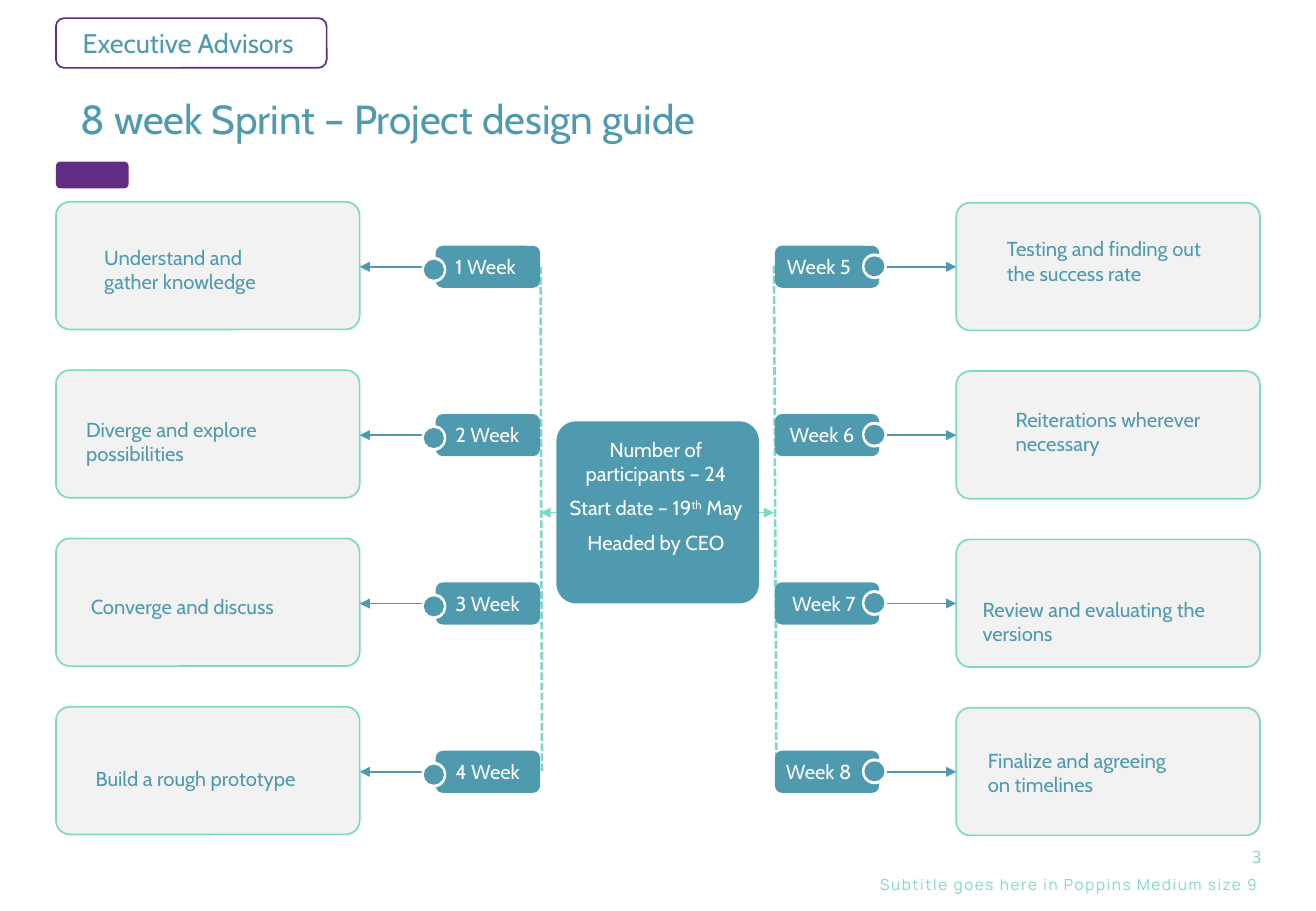
from pptx import Presentation
from pptx.dml.color import RGBColor
from pptx.enum.dml import MSO_LINE
from pptx.enum.shapes import MSO_CONNECTOR, MSO_SHAPE
from pptx.enum.text import MSO_ANCHOR, MSO_AUTO_SIZE, PP_ALIGN
from pptx.oxml.ns import qn
from pptx.util import Cm, Pt
from lxml.etree import SubElement

TEAL, MINT, PURPLE = "509AAF", "7DD8C7", "612C83"
WHITE, GREY = "FFFFFF", "F2F2F2"
ROW_PITCH = 3.52


def rgb(value):
    return RGBColor.from_string(value)


class SprintSlide:
    font = "Cabin"
    size = 12

    def __init__(self, prs):
        self.s = prs.slides.add_slide(prs.slide_layouts[5])

    def fill_text(self, sp, text, size=None, color=TEAL, font=None, align=PP_ALIGN.LEFT,
                  anchor=MSO_ANCHOR.TOP, insets=(0.25, 0.25, 0.25, 0.25)):
        tf = sp.text_frame
        tf.word_wrap = True
        tf.auto_size = MSO_AUTO_SIZE.NONE
        tf.vertical_anchor = anchor
        tf.margin_left, tf.margin_top, tf.margin_right, tf.margin_bottom = map(Cm, insets)
        for i, runs in enumerate(text if isinstance(text, list) else [text]):
            p = tf.paragraphs[0] if i == 0 else tf.add_paragraph()
            p.alignment = align
            p.space_before = Pt(6 if i else 0)
            p.font.name = font or self.font
            p.font.size = Pt(size or self.size)
            p.font.color.rgb = rgb(color)
            for part in [runs] if isinstance(runs, str) else runs:
                p.add_run().text = part
        return tf

    def title(self, text, x, y, w, h):
        sp = self.s.shapes.title
        sp.left, sp.top, sp.width, sp.height = map(Cm, (x, y, w, h))
        self.fill_text(sp, text, 24, insets=(0.51, 0.13, 0.51, 0.13))

    def text(self, text, x, y, w, h, **style):
        return self.fill_text(self.s.shapes.add_textbox(Cm(x), Cm(y), Cm(w), Cm(h)), text, **style)

    def shape(self, x, y, w, h, fill=None, line=None, radius=None,
              kind=MSO_SHAPE.ROUNDED_RECTANGLE, parent=None):
        sp = (parent or self.s).shapes.add_shape(kind, Cm(x), Cm(y), Cm(w), Cm(h))
        sp.shadow.inherit = False
        if fill:
            sp.fill.solid()
            sp.fill.fore_color.rgb = rgb(fill)
        else:
            sp.fill.background()
        if line:
            sp.line.color.rgb = rgb(line)
            sp.line.width = Pt(1)
        else:
            sp.line.fill.background()
        if radius:
            sp.adjustments[0] = radius
        return sp

    def dot(self, x, y):
        group = self.s.shapes.add_group_shape()
        self.shape(x, y, 0.52, 0.54, WHITE, kind=MSO_SHAPE.OVAL, parent=group)
        self.shape(x + 0.05, y + 0.06, 0.42, 0.42, TEAL, kind=MSO_SHAPE.OVAL, parent=group)

    def line(self, x1, y1, x2, y2, color, width=1, dashed=False):
        cx = self.s.shapes.add_connector(MSO_CONNECTOR.STRAIGHT, Cm(x1), Cm(y1), Cm(x2), Cm(y2))
        cx.line.color.rgb = rgb(color)
        cx.line.width = Pt(width)
        if dashed:
            cx.line.dash_style = MSO_LINE.SQUARE_DOT
        else:
            SubElement(cx._element.spPr.find(qn("a:ln")), qn("a:tailEnd"), type="triangle")
        SubElement(cx._element.spPr, qn("a:effectLst"))

    def side(self, steps, card, pill, dot, arrow, spine):
        for i in range(len(steps)):
            self.shape(card[0], card[1] + i * ROW_PITCH, 6.35, 2.67, GREY, MINT, 0.109)
        self.line(*spine, MINT, 1.5, dashed=True)
        for i, (label, label_x, task, *task_box) in enumerate(steps):
            dy = i * ROW_PITCH
            self.line(arrow[0], 5.58 + dy, arrow[1], 5.58 + dy, TEAL)
            self.shape(pill[0], pill[1] + dy, 2.18, 0.88, TEAL)
            self.dot(dot[0], dot[1] + dy)
            self.text(label, label_x, 5.07 + dy, 2.2, 0.95, color=WHITE)
            self.text(task, *task_box, 1.6)


def main():
    prs = Presentation()
    prs.slide_width, prs.slide_height = Cm(27.51), Cm(19.05)
    slide = SprintSlide(prs)

    badge = slide.shape(1.17, 0.38, 5.66, 1.04, line=PURPLE)
    slide.fill_text(badge, "Executive Advisors", 16, insets=(0.51, 0.13, 0.25, 0.13))
    slide.shape(1.17, 3.38, 1.52, 0.56, PURPLE)
    slide.title("8 week Sprint – Project design guide", 1.17, 1.83, 23.72, 1.5)

    slide.shape(11.63, 8.81, 4.24, 3.81, TEAL, radius=0.109)
    slide.line(11.63, 10.72, 11.3, 10.72, MINT)
    slide.line(15.87, 10.72, 16.18, 10.72, MINT)
    tf = slide.text(["Number of participants – 24", ("Start date – 19", "th", " May"), "Headed by CEO"],
                    11.66, 8.89, 4.11, 3.58, color=WHITE, align=PP_ALIGN.CENTER,
                    insets=(0.2, 0.25, 0.2, 0.25))
    tf.paragraphs[1].runs[1].font._element.set("baseline", "30000")

    slide.side([
        ("1 Week", 9.27, "Understand and gather knowledge", 1.93, 4.88, 4.5),
        ("2 Week", 9.27, "Diverge and explore possibilities", 1.55, 8.48, 5.46),
        ("3 Week", 9.27, "Converge and discuss", 1.65, 12.17, 5.28),
        ("4 Week", 9.27, "Build a rough prototype", 1.75, 15.77, 5.41),
    ], card=(1.17, 4.22), pill=(9.11, 5.14), dot=(8.81, 5.37), arrow=(9.12, 7.52),
        spine=(11.3, 5.58, 11.33, 16.13))
    slide.side([
        ("Week 5", 16.2, "Testing and finding out the success rate", 20.8, 4.7, 4.78),
        ("Week 6", 16.26, "Reiterations wherever necessary", 20.98, 8.26, 4.62),
        ("Week 7", 16.31, "Review and evaluating the versions", 20.29, 12.24, 5.66),
        ("Week 8", 16.18, "Finalize and agreeing on timelines", 20.4, 15.39, 4.72),
    ], card=(19.99, 4.24), pill=(16.2, 5.14), dot=(18.02, 5.3), arrow=(18.38, 19.99),
        spine=(16.18, 5.56, 16.23, 16.15))

    slide.text("3", 25.58, 17.65, 1.04, 0.53, size=10, color=MINT, font="Open Sans",
               align=PP_ALIGN.RIGHT, anchor=MSO_ANCHOR.MIDDLE, insets=(0.25, 0.13, 0.25, 0.13))
    tf = slide.text("Subtitle goes here in Poppins Medium size 9", 17.63, 18.31, 8.64, 0.38,
                    size=9, color=MINT, font="Manrope", align=PP_ALIGN.RIGHT,
                    anchor=MSO_ANCHOR.MIDDLE, insets=(0, 0, 0, 0))
    tf.paragraphs[0].runs[0].font._element.set("spc", "100")
    prs.save("out.pptx")


if __name__ == "__main__":
    main()
